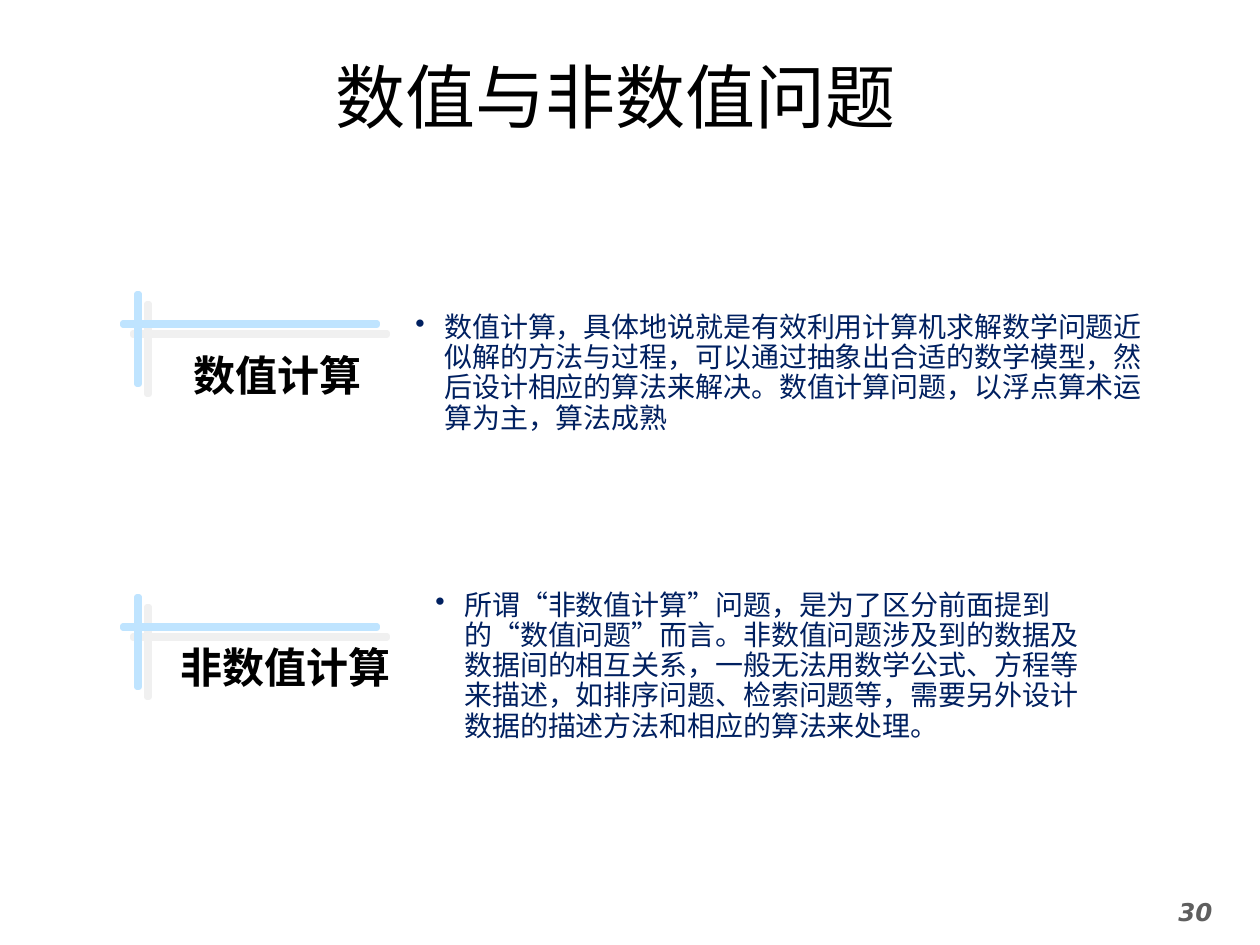
"""Build a slide that contrasts numerical and non-numerical problems."""
import pptx
import pptx.util
import pptx.dml.color
import pptx.enum.shapes
import pptx.enum.text
import pptx.oxml.ns
import lxml.etree

EMU = 914400 / 126
SANS = "Noto Sans CJK SC"
ALIGN = pptx.enum.text.PP_ALIGN
ANCHOR = pptx.enum.text.MSO_ANCHOR
qn = pptx.oxml.ns.qn


def color(code):
    return pptx.dml.color.RGBColor.from_string(code)


def write(shape, text, size, font, code, align=ALIGN.LEFT, anchor=ANCHOR.TOP):
    frame = shape.text_frame
    frame.word_wrap = True
    frame.vertical_anchor = anchor
    frame.text = text
    para = frame.paragraphs[0]
    para.alignment = align
    run = para.runs[0]
    run.font.size = pptx.util.Pt(size)
    run.font.name = font
    run.font.color.rgb = color(code)
    east = lxml.etree.SubElement(run.font._element, qn("a:ea"))
    east.set("typeface", font)
    return para


deck = pptx.Presentation()
deck.slide_width = pptx.util.Inches(10)
deck.slide_height = pptx.util.Inches(7.5)
shapes = deck.slides.add_slide(deck.slide_layouts[6]).shapes

page = shapes.add_textbox(*[int(n * EMU) for n in (1131, 891, 129, 54)])
para = write(page, "30", 14, "DejaVu Sans", "5F5F5F", ALIGN.CENTER)
para.font.bold = para.runs[0].font.bold = True
para.runs[0].font.italic = True

title = shapes.add_textbox(*[int(n * EMU) for n in (164, 47, 903, 97)])
write(title, "数值与非数值问题", 40, "Noto Sans CJK JP", "000000", ALIGN.CENTER, ANCHOR.MIDDLE)

labels = [
    ("数值计算", (181, 353, 210, 50)),
    ("非数值计算", (168, 645, 255, 50)),
]
for text, box in labels:
    label = shapes.add_shape(
        pptx.enum.shapes.MSO_SHAPE.RECTANGLE, *[int(n * EMU) for n in box])
    label.shadow.inherit = False
    label.fill.solid()
    label.fill.fore_color.rgb = color("FFFFFF")
    label.line.fill.background()
    para = write(label, text, 24, SANS, "000000", anchor=ANCHOR.MIDDLE)
    para.line_spacing = 0.9
    para.runs[0].font.bold = True

notes = [
    ("数值计算，具体地说就是有效利用计算机求解数学问题近似解的方法与过程，"
     "可以通过抽象出合适的数学模型，然后设计相应的算法来解决。"
     "数值计算问题，以浮点算术运算为主，算法成熟", (403, 307, 762, 135)),
    ("所谓“非数值计算”问题，是为了区分前面提到的“数值问题”而言。"
     "非数值问题涉及到的数据及数据间的相互关系，一般无法用数学公式、方程等来描述，"
     "如排序问题、检索问题等，需要另外设计数据的描述方法和相应的算法来处理。",
     (423, 585, 693, 165)),
]
for text, box in notes:
    note = shapes.add_textbox(*[int(n * EMU) for n in box])
    para = write(note, text, 16, SANS, "002060")
    para.line_spacing = 0.9
    props = para._p.get_or_add_pPr()
    props.set("marL", str(int(29 * EMU)))
    props.set("indent", str(int(-29 * EMU)))
    lxml.etree.SubElement(props, qn("a:buChar")).set("char", "•")

cross = [(14, 0), (16, 0), (16, 29), (254, 29), (254, 31), (16, 31),
         (16, 90), (14, 90), (14, 31), (0, 31), (0, 29), (14, 29)]
for top in (294, 597):
    group = shapes.add_group_shape()
    for shift, code in ((10, "F0F0F0"), (0, "BFE4FF")):
        points = [(123 + shift + x, top + shift + y) for x, y in cross]
        path = group.shapes.build_freeform(*points[0], scale=EMU)
        path.add_line_segments(points[1:], close=True)
        mark = path.convert_to_shape()
        mark.shadow.inherit = False
        mark.fill.solid()
        mark.fill.fore_color.rgb = color("80CAFF")
        mark.line.color.rgb = color(code)
        mark.line.width = pptx.util.Pt(3)
        lxml.etree.SubElement(mark.line._get_or_add_ln(), qn("a:round"))

deck.save("out.pptx")
